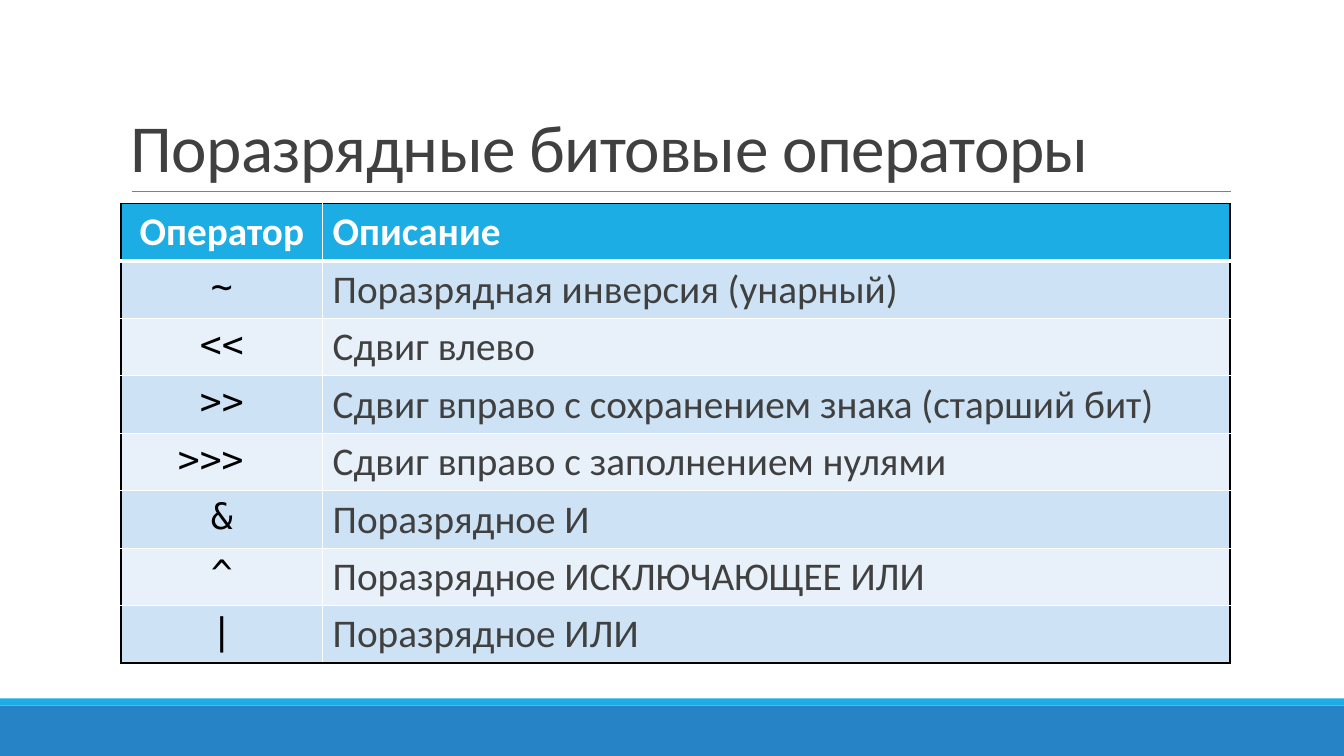
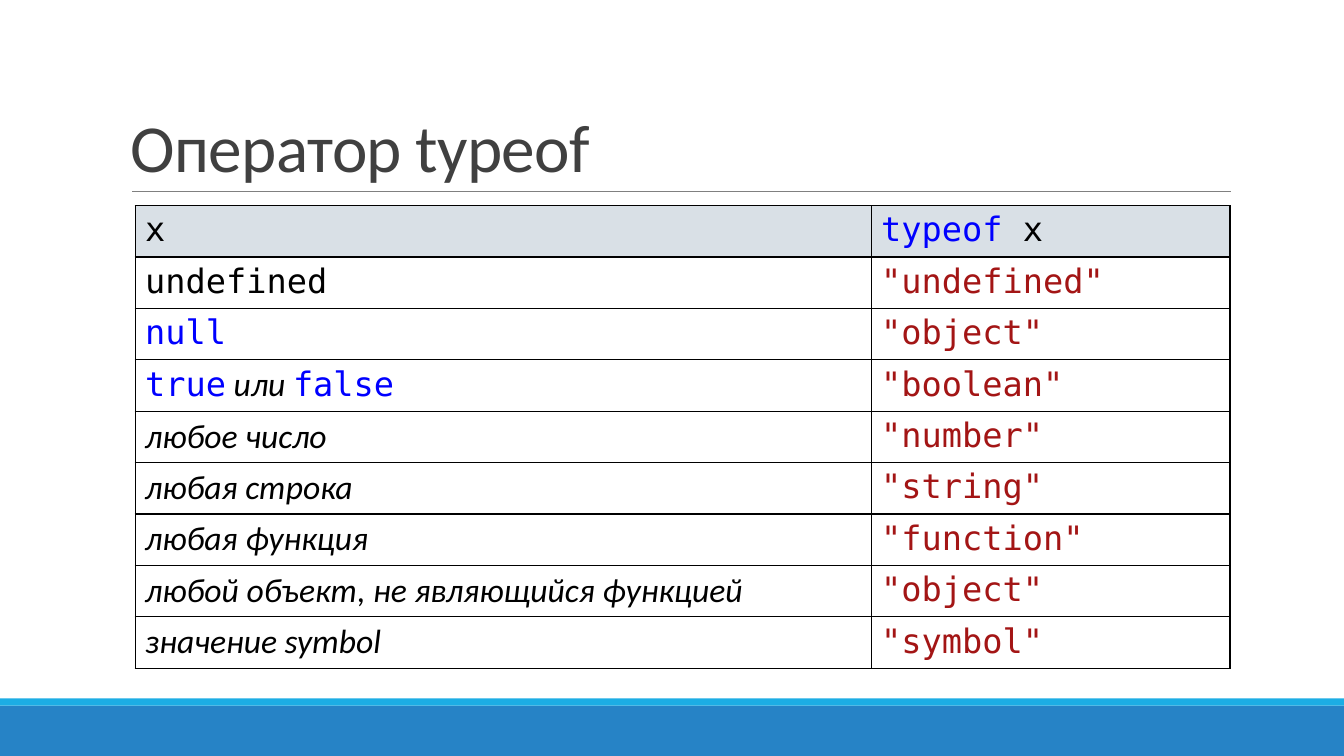
from dataclasses import dataclass

from lxml import etree
from pptx import Presentation
from pptx.dml.color import RGBColor
from pptx.enum.shapes import MSO_CONNECTOR, MSO_SHAPE
from pptx.enum.text import MSO_ANCHOR, PP_ALIGN
from pptx.oxml.ns import qn
from pptx.util import Inches, Pt

RECTANGLE = MSO_SHAPE.RECTANGLE
STRAIGHT = MSO_CONNECTOR.STRAIGHT
TOP, MIDDLE, BOTTOM = MSO_ANCHOR.TOP, MSO_ANCHOR.MIDDLE, MSO_ANCHOR.BOTTOM
LEFT, CENTER = PP_ALIGN.LEFT, PP_ALIGN.CENTER

WHITE = RGBColor(0xFF, 0xFF, 0xFF)
BLACK = RGBColor(0, 0, 0)
DARK = RGBColor(0x40, 0x40, 0x40)
GREY = RGBColor(0x80, 0x80, 0x80)
BLUE = RGBColor(0x26, 0x83, 0xC6)
CYAN = RGBColor(0x1C, 0xAD, 0xE4)
BAND_DARK = RGBColor(0xCD, 0xE3, 0xF5)
BAND_LIGHT = RGBColor(0xE8, 0xF1, 0xFA)
HEADER_GREY = RGBColor(0xD9, 0xE0, 0xE6)
KEYWORD_BLUE = RGBColor(0, 0, 0xFF)
STRING_RED = RGBColor(0xA3, 0x15, 0x15)

SANS, MONO = "Calibri", "DejaVu Sans Mono"
SLIDE_W, SLIDE_H = 13.33, 7.5
MARGIN, CONTENT_W = 1.2, 11
TITLE_TOP, RULE_Y = 0.31, 1.9
RULE_LEFT, RULE_RIGHT = 1.31, 12.21
FOOTER_H, STRIPE_H = 0.5, 0.07


@dataclass(frozen=True)
class Style:
    name: str
    size: int
    color: RGBColor
    bold: bool = False
    italic: bool = False

    def apply(self, font):
        font.name, font.size = self.name, Pt(self.size)
        font.bold, font.italic = self.bold, self.italic
        font.color.rgb = self.color


TITLE = Style(SANS, 48, DARK)
HEADING = Style(SANS, 28, WHITE, bold=True)
OPERATOR = Style(MONO, 26, BLACK)
DESCRIPTION = Style(SANS, 28, DARK)
CODE = Style(MONO, 24, BLACK)
KEYWORD = Style(MONO, 24, KEYWORD_BLUE)
STRING = Style(MONO, 24, STRING_RED)
NOTE = Style(SANS, 24, BLACK, italic=True)

OPERATORS = [
    ("~", "Поразрядная инверсия (унарный)"),
    ("<<", "Сдвиг влево"),
    (">>", "Сдвиг вправо с сохранением знака (старший бит)"),
    (">>> ", "Сдвиг вправо с заполнением нулями"),
    ("&", "Поразрядное И"),
    ("^", "Поразрядное ИСКЛЮЧАЮЩЕЕ ИЛИ"),
    ("|", "Поразрядное ИЛИ"),
]

TYPES = [
    ([("undefined", CODE)], "undefined"),
    ([("null", KEYWORD)], "object"),
    ([("true", KEYWORD), (" или ", NOTE), ("false", KEYWORD)], "boolean"),
    ([("любое число", NOTE)], "number"),
    ([("любая строка", NOTE)], "string"),
    ([("любая функция", NOTE)], "function"),
    ([("любой объект, не являющийся функцией", NOTE)], "object"),
    ([("значение symbol", NOTE)], "symbol"),
]


def write_runs(p, runs):
    """Fill a paragraph with (text, style) pairs."""
    for text, style in runs:
        r = p.add_run()
        r.text = text
        style.apply(p.font if len(runs) == 1 else r.font)


def add_band(slide, top, height, color):
    sp = slide.shapes.add_shape(RECTANGLE, 0, Inches(top),
                                Inches(SLIDE_W), Inches(height))
    sp.shadow.inherit = False
    sp.fill.solid()
    sp.fill.fore_color.rgb = color
    sp.line.fill.background()


def add_title_rule(slide):
    line = slide.shapes.add_connector(STRAIGHT, Inches(RULE_LEFT), Inches(RULE_Y),
                                      Inches(RULE_RIGHT), Inches(RULE_Y))
    line.line.color.rgb = GREY
    line.line.width = Pt(0.5)
    etree.SubElement(line._element.spPr, qn("a:effectLst"))


def add_title(slide, text):
    box = slide.shapes.add_textbox(Inches(MARGIN), Inches(TITLE_TOP),
                                   Inches(CONTENT_W), Inches(RULE_Y - TITLE_TOP))
    tf = box.text_frame
    tf.word_wrap = True
    tf.vertical_anchor = BOTTOM
    p = tf.paragraphs[0]
    p.line_spacing = 0.85
    write_runs(p, [(text, TITLE)])
    p.runs[0]._r.get_or_add_rPr().set("spc", "-50")


def add_titled_slide(prs, title):
    slide = prs.slides.add_slide(prs.slide_layouts[6])
    footer_top = SLIDE_H - FOOTER_H
    add_band(slide, footer_top, FOOTER_H, BLUE)
    add_band(slide, footer_top - STRIPE_H, STRIPE_H, CYAN)
    add_title_rule(slide)
    add_title(slide, title)
    return slide


def set_borders(cell, borders):
    """Draw the (colour, points) borders, given as left, right, top, bottom."""
    tc_pr = cell._tc.get_or_add_tcPr()
    for i, (side, (color, points)) in enumerate(zip("LRTB", borders)):
        ln = etree.Element(qn(f"a:ln{side}"), w=str(Pt(points)))
        fill = etree.SubElement(ln, qn("a:solidFill"))
        etree.SubElement(fill, qn("a:srgbClr"), val=str(color))
        tc_pr.insert(i, ln)


def add_grid(slide, left, top, widths, row_height, rows, fills,
             inner=BLACK, header_rule=1, first_align=LEFT, header_anchor=TOP):
    """Add a table with a black frame; rows hold lists of runs, fills one colour a row."""
    frame = slide.shapes.add_table(len(rows), len(widths), Inches(left), Inches(top),
                                   Inches(sum(widths)), Inches(row_height * len(rows)))
    table = frame.table
    table.first_row = table.horz_banding = False
    for column, width in zip(table.columns, widths):
        column.width = Inches(width)
    outer_edge, inner_edge = (BLACK, 1), (inner, 1)
    last_row, last_col = len(rows) - 1, len(widths) - 1
    for i, (row, fill) in enumerate(zip(rows, fills)):
        table.rows[i].height = Inches(row_height)
        upper = (inner, header_rule) if i == 1 else inner_edge
        lower = (inner, header_rule) if i == 0 else inner_edge
        for j, runs in enumerate(row):
            cell = table.cell(i, j)
            set_borders(cell, [
                outer_edge if j == 0 else inner_edge,
                outer_edge if j == last_col else inner_edge,
                outer_edge if i == 0 else upper,
                outer_edge if i == last_row else lower,
            ])
            cell.fill.solid()
            cell.fill.fore_color.rgb = fill
            cell.vertical_anchor = header_anchor if i == 0 else TOP
            p = cell.text_frame.paragraphs[0]
            p.alignment = first_align if j == 0 else LEFT
            write_runs(p, runs)


def add_bitwise_slide(prs):
    slide = add_titled_slide(prs, "Поразрядные битовые операторы")
    rows = [[[("Оператор", HEADING)], [("Описание", HEADING)]]]
    rows += [[[(sign, OPERATOR)], [(text, DESCRIPTION)]] for sign, text in OPERATORS]
    fills = [CYAN] + [BAND_LIGHT if i % 2 else BAND_DARK for i in range(len(OPERATORS))]
    add_grid(slide, MARGIN, 2.02, [2, 9], 0.57, rows, fills, inner=WHITE,
             header_rule=3, first_align=CENTER, header_anchor=MIDDLE)


def add_typeof_slide(prs):
    slide = add_titled_slide(prs, "Оператор typeof")
    rows = [[[("x", CODE)], [("typeof", KEYWORD), (" x", CODE)]]]
    rows += [[runs, [(f'"{result}"', STRING)]] for runs, result in TYPES]
    fills = [HEADER_GREY] + [WHITE] * len(TYPES)
    add_grid(slide, 1.34, 2.04, [7.3, 3.56], 0.51, rows, fills)


def main():
    prs = Presentation()
    prs.slide_width, prs.slide_height = Inches(SLIDE_W), Inches(SLIDE_H)
    add_bitwise_slide(prs)
    add_typeof_slide(prs)
    prs.save("out.pptx")


if __name__ == "__main__":
    main()
